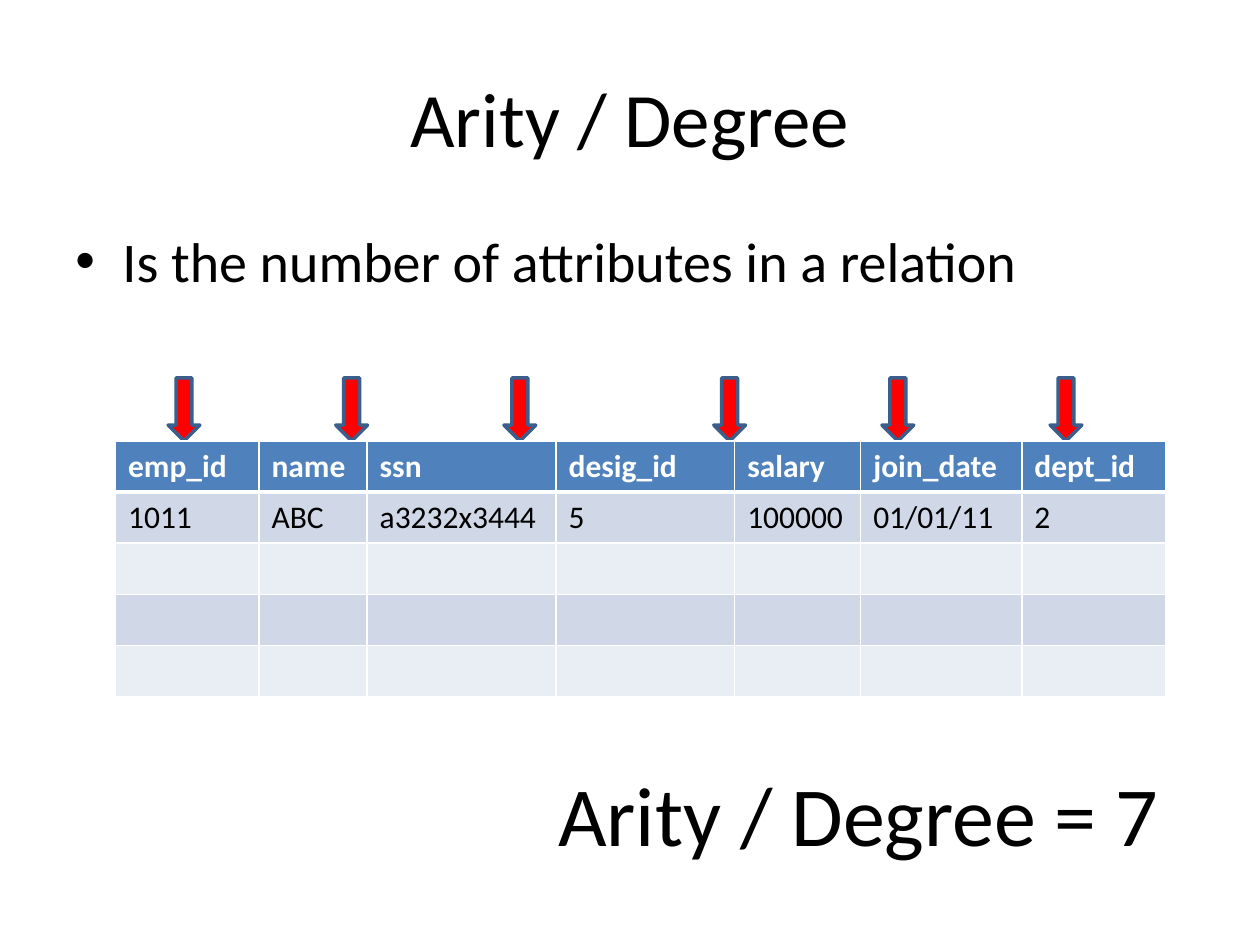
from lxml import etree
from pptx import Presentation
from pptx.dml.color import RGBColor
from pptx.enum.shapes import MSO_SHAPE
from pptx.enum.text import MSO_ANCHOR, PP_ALIGN
from pptx.oxml.ns import qn
from pptx.util import Cm, Pt

DOWN_ARROW = MSO_SHAPE.DOWN_ARROW
TOP, MIDDLE = MSO_ANCHOR.TOP, MSO_ANCHOR.MIDDLE
LEFT, CENTER = PP_ALIGN.LEFT, PP_ALIGN.CENTER

COLORS = {
    "text": "000000",
    "white": "FFFFFF",
    "header": "4F81BD",
    "band_dark": "D0D8E8",
    "band_light": "E9EDF4",
    "arrow": "FF0000",
    "arrow_line": "3A5F8C",
}
COLORS = {role: RGBColor.from_string(value) for role, value in COLORS.items()}


def write(frame, text, size=18, color="text", bold=False, align=LEFT,
          anchor=TOP, wrap=True, bullet_indent=None):
    frame.word_wrap = wrap
    frame.vertical_anchor = anchor
    paragraph = frame.paragraphs[0]
    paragraph.alignment = align
    run = paragraph.add_run()
    run.text = text
    run.font.name = "Calibri"
    run.font.size = Pt(size)
    run.font.bold = bold
    run.font.color.rgb = COLORS[color]
    if bullet_indent:
        properties = paragraph._p.get_or_add_pPr()
        properties.set("marL", str(bullet_indent))
        properties.set("indent", str(-bullet_indent))
        etree.SubElement(properties, qn("a:buFont"), typeface="Arial")
        etree.SubElement(properties, qn("a:buChar"), char="•")


def set_borders(cell, top, bottom):
    """Give a cell white borders: 1 pt at the sides, top and bottom in points."""
    properties = cell._tc.get_or_add_tcPr()
    widths = {"a:lnL": 1, "a:lnR": 1, "a:lnT": top, "a:lnB": bottom}
    for position, (tag, width) in enumerate(widths.items()):
        line = etree.Element(qn(tag), w=str(Pt(width)))
        fill = etree.SubElement(line, qn("a:solidFill"))
        etree.SubElement(fill, qn("a:srgbClr"), val=str(COLORS["white"]))
        properties.insert(position, line)


presentation = Presentation()
presentation.slide_width = Cm(25.4)
presentation.slide_height = Cm(19.05)
slide = presentation.slides.add_slide(presentation.slide_layouts[6])

# Title, definition and result
title = slide.shapes.add_textbox(Cm(1.27), Cm(0.76), Cm(22.86), Cm(3.18))
write(title.text_frame, "Arity / Degree", size=44, align=CENTER, anchor=MIDDLE)

definition = slide.shapes.add_textbox(Cm(1.27), Cm(4.45), Cm(22.86), Cm(12.57))
write(definition.text_frame, "Is the number of attributes in a relation",
      size=32, bullet_indent=Cm(0.95))

result = slide.shapes.add_textbox(Cm(11), Cm(15.24), Cm(12.75), Cm(2.31))
write(result.text_frame, "Arity / Degree = 7", size=48, wrap=False)

# Arrows pointing at the attributes
for arrow_left in (3.39, 6.77, 10.16, 14.39, 17.78, 21.17):
    arrow = slide.shapes.add_shape(
        DOWN_ARROW, Cm(arrow_left), Cm(7.62), Cm(0.64), Cm(1.27))
    arrow.shadow.inherit = False
    arrow.fill.solid()
    arrow.fill.fore_color.rgb = COLORS["arrow"]
    arrow.line.color.rgb = COLORS["arrow_line"]
    arrow.line.width = Pt(2)

# Employee relation
attributes = {
    "emp_id": ("1011", 2.89),
    "name": ("ABC", 2.18),
    "ssn": ("a3232x3444", 3.81),
    "desig_id": ("5", 3.6),
    "salary": ("100000", 2.54),
    "join_date": ("01/01/11", 3.25),
    "dept_id": ("2", 2.89),
}
row_fills = ["header", "band_dark", "band_light", "band_dark", "band_light"]
relation = slide.shapes.add_table(
    len(row_fills), len(attributes), Cm(2.33), Cm(8.89), Cm(21.16), Cm(5.15)).table

for row in relation.rows:
    row.height = Cm(1.03)
for column, (attribute, (value, width)) in enumerate(attributes.items()):
    relation.columns[column].width = Cm(width)
    for row, fill in enumerate(row_fills):
        cell = relation.cell(row, column)
        cell.fill.solid()
        cell.fill.fore_color.rgb = COLORS[fill]
        set_borders(cell, top=3 if row == 1 else 1, bottom=3 if row == 0 else 1)
    write(relation.cell(0, column).text_frame, attribute, color="white", bold=True)
    write(relation.cell(1, column).text_frame, value)

presentation.save("out.pptx")
